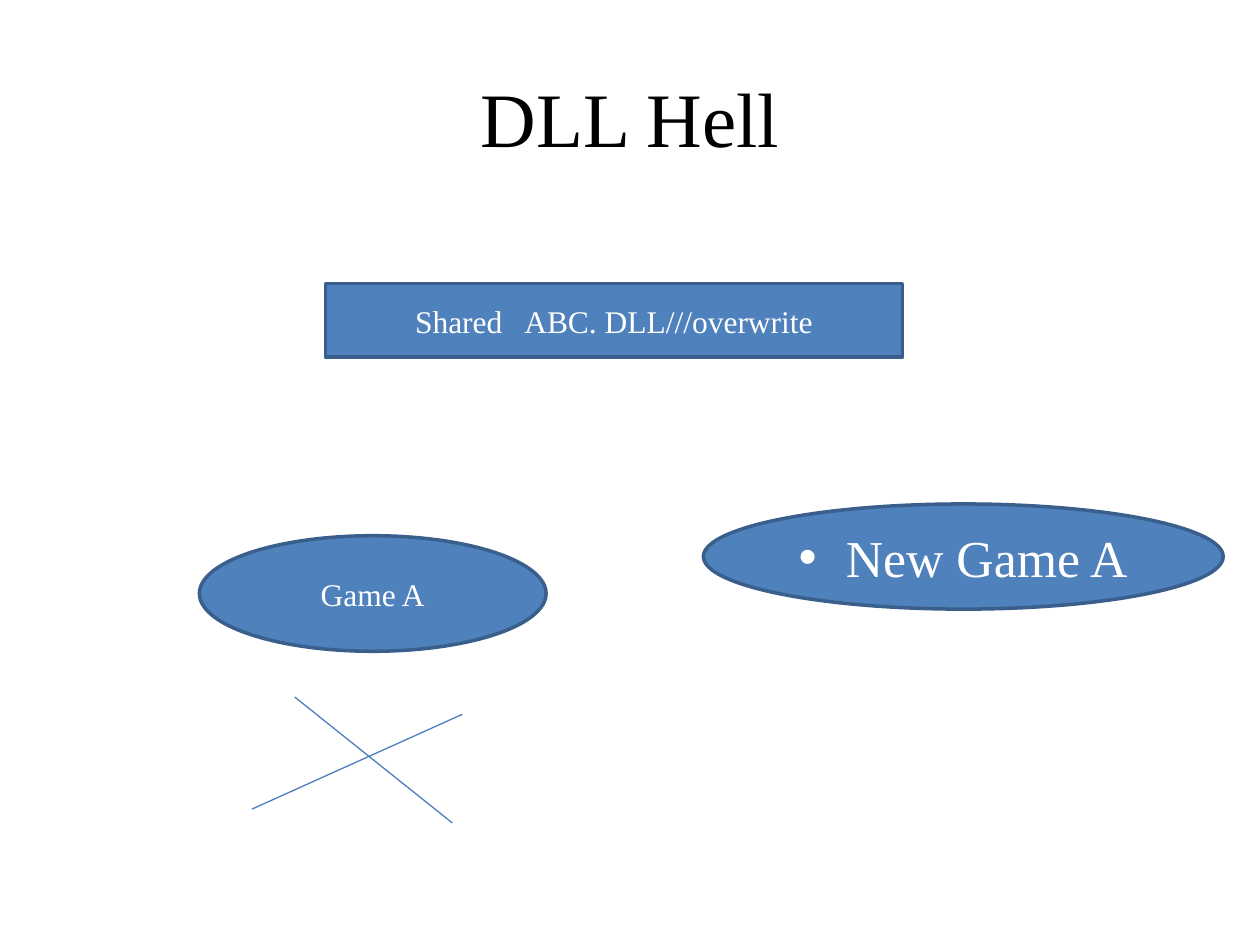
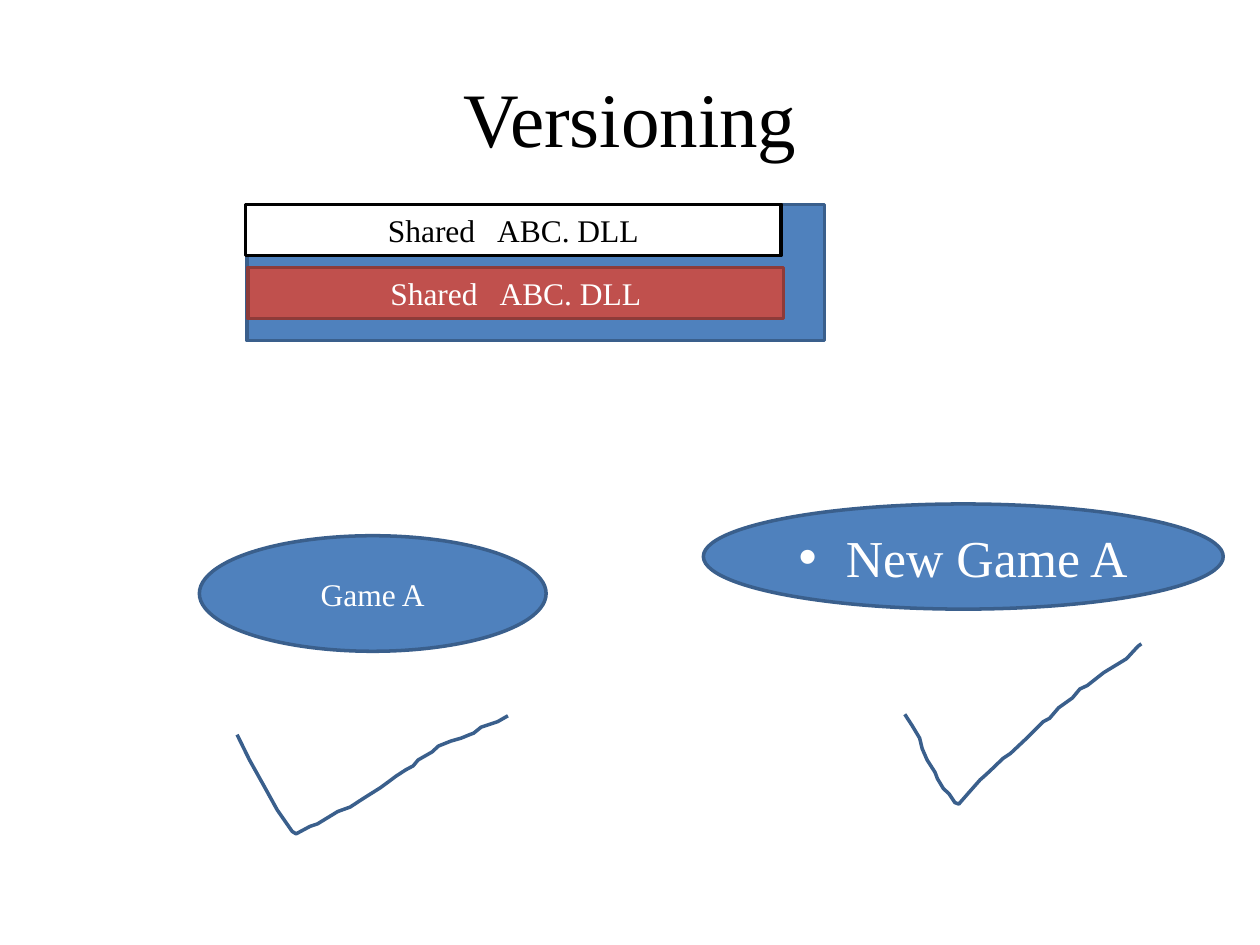
from lxml.etree import SubElement
from pptx import Presentation
from pptx.dml.color import RGBColor
from pptx.enum.shapes import MSO_CONNECTOR, MSO_SHAPE
from pptx.enum.text import MSO_ANCHOR, MSO_AUTO_SIZE, PP_ALIGN
from pptx.oxml.ns import qn
from pptx.util import Cm, Pt

FONT = "Times New Roman"
BLACK = RGBColor(0x00, 0x00, 0x00)
WHITE = RGBColor(0xFF, 0xFF, 0xFF)
BLUE = RGBColor(0x4F, 0x81, 0xBD)
BLUE_EDGE = RGBColor(0x3A, 0x5F, 0x8C)
BLUE_LINE = RGBColor(0x4B, 0x7E, 0xBC)
RED = RGBColor(0xC0, 0x50, 0x4D)
RED_EDGE = RGBColor(0x8E, 0x3B, 0x39)

# Cross strokes and hand-drawn ticks, in cm
CROSS = [(9.32, 14.4, 5.08, 16.31), (5.94, 14.05, 9.12, 16.59)]
TICKS = [
    [(4.78, 14.81), (5.03, 15.32), (5.31, 15.82), (5.59, 16.33), (5.89, 16.76),
     (5.97, 16.81), (6.25, 16.66), (6.4, 16.61), (6.81, 16.36), (7.06, 16.27),
     (7.32, 16.1), (7.67, 15.88), (7.82, 15.77), (7.98, 15.65), (8.18, 15.52),
     (8.33, 15.44), (8.43, 15.32), (8.71, 15.16), (8.84, 15.04), (9.09, 14.94),
     (9.3, 14.88), (9.47, 14.81), (9.55, 14.78), (9.7, 14.66), (10.03, 14.55),
     (10.24, 14.43)],
    [(18.24, 14.4), (18.39, 14.63), (18.54, 14.88), (18.59, 15.09),
     (18.69, 15.32), (18.85, 15.57), (18.9, 15.7), (19.02, 15.9), (19.13, 16),
     (19.25, 16.18), (19.33, 16.21), (19.53, 15.98), (19.76, 15.72),
     (19.84, 15.65), (19.96, 15.54), (20.22, 15.29), (20.37, 15.19),
     (20.7, 14.88), (21.03, 14.55), (21.16, 14.48), (21.34, 14.27),
     (21.62, 14.07), (21.77, 13.89), (21.92, 13.82), (22.25, 13.56),
     (22.58, 13.36), (22.71, 13.28), (22.94, 13.03), (23.01, 12.98)],
]


def set_text(sp, text, size, color):
    tf = sp.text_frame
    tf.word_wrap = True
    tf.auto_size = MSO_AUTO_SIZE.NONE
    tf.vertical_anchor = MSO_ANCHOR.MIDDLE
    p = tf.paragraphs[0]
    p.alignment = PP_ALIGN.CENTER
    r = p.add_run()
    r.text = text
    r.font.name = FONT
    r.font.size = Pt(size)
    r.font.color.rgb = color


def add_box(s, kind, box, text="", fill=BLUE, edge=BLUE_EDGE, color=WHITE):
    sp = s.shapes.add_shape(kind, *map(Cm, box))
    sp.shadow.inherit = False
    sp.fill.solid()
    sp.fill.fore_color.rgb = fill
    sp.line.color.rgb = edge
    sp.line.width = Pt(2)
    if text:
        set_text(sp, text, 18, color)


prs = Presentation()
prs.slide_width, prs.slide_height = Cm(25.4), Cm(19.05)

# What both slides share: title, old game, new game
slides = []
for title in ("DLL Hell", "Versioning"):
    s = prs.slides.add_slide(prs.slide_layouts[1])
    slides.append(s)
    sp = s.shapes.title
    sp.left, sp.top, sp.width, sp.height = map(Cm, (1.27, 0.76, 22.86, 3.18))
    set_text(sp, title, 44, BLACK)

    add_box(s, MSO_SHAPE.OVAL, (4.02, 10.8, 6.99, 2.33), "Game A")

    sp = s.placeholders[1]
    sp.left, sp.top, sp.width, sp.height = map(Cm, (14.18, 10.16, 10.48, 2.12))
    geom = SubElement(sp.element.spPr, qn("a:prstGeom"), prst="ellipse")
    SubElement(geom, qn("a:avLst"))
    sp.fill.solid()
    sp.fill.fore_color.rgb = BLUE
    sp.line.color.rgb = BLUE_EDGE
    sp.line.width = Pt(2)
    set_text(sp, "New Game A", 29.6, WHITE)

hell, versioning = slides

# DLL Hell: one shared library, the old game breaks
add_box(hell, MSO_SHAPE.RECTANGLE, (6.56, 5.72, 11.64, 1.48),
        "Shared   ABC. DLL///overwrite")
for stroke in CROSS:
    line = hell.shapes.add_connector(MSO_CONNECTOR.STRAIGHT, *map(Cm, stroke))
    line.line.color.rgb = BLUE_LINE
    line.line.width = Pt(0.75)
    SubElement(line.element.spPr, qn("a:effectLst"))

# Versioning: both library versions side by side, both games work
add_box(versioning, MSO_SHAPE.RECTANGLE, (4.98, 4.12, 11.64, 2.75))
for left, top, fill, edge, color in (
    (4.95, 4.12, WHITE, BLACK, BLACK),
    (5, 5.39, RED, RED_EDGE, WHITE),
):
    add_box(versioning, MSO_SHAPE.RECTANGLE, (left, top, 10.8, 1.03),
            "Shared   ABC. DLL", fill, edge, color)
for tick in TICKS:
    points = [(Cm(x), Cm(y)) for x, y in tick]
    builder = versioning.shapes.build_freeform(*points[0])
    builder.add_line_segments(points[1:], close=False)
    sp = builder.convert_to_shape()
    sp.shadow.inherit = False
    sp.fill.background()
    sp.line.color.rgb = BLUE_EDGE
    sp.line.width = Pt(2)

prs.save("out.pptx")
